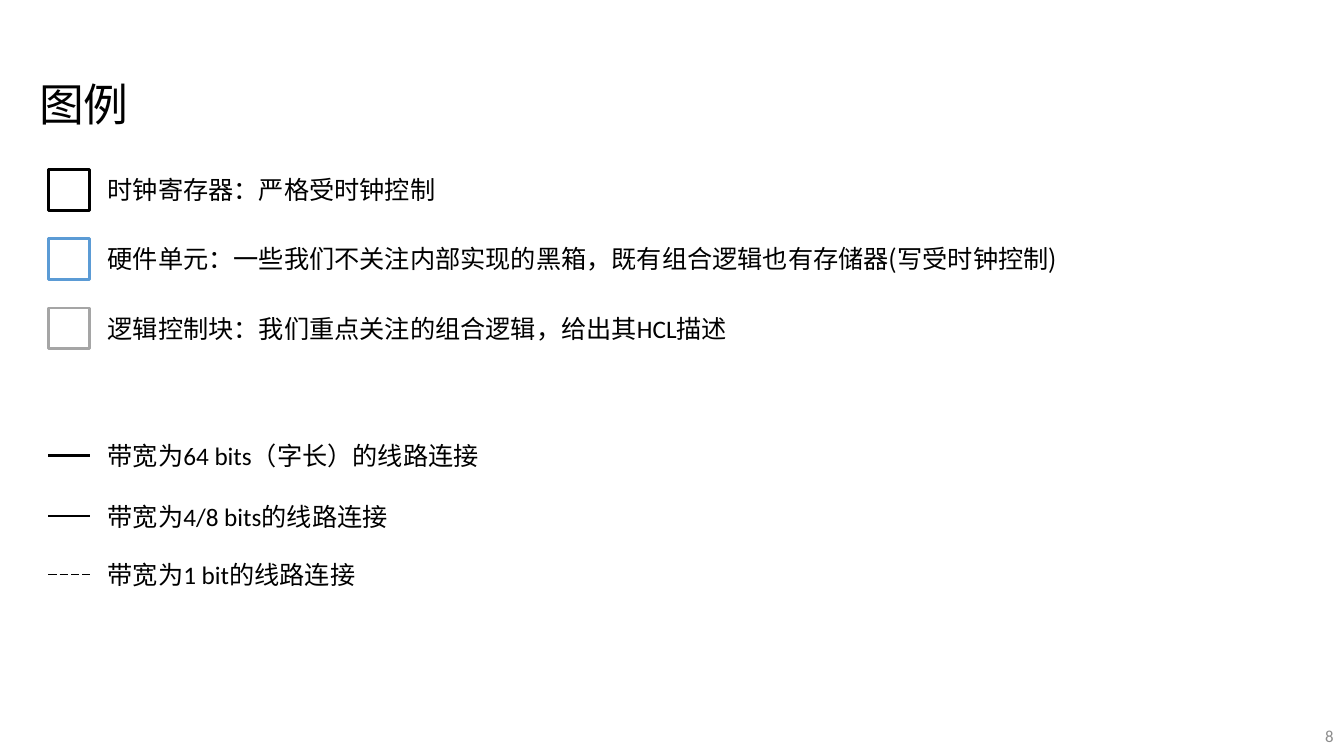
from dataclasses import dataclass
from lxml.etree import SubElement
from pptx import Presentation
from pptx.dml.color import RGBColor
from pptx.enum.dml import MSO_LINE
from pptx.enum.shapes import MSO_CONNECTOR, MSO_SHAPE
from pptx.enum.text import MSO_ANCHOR, MSO_AUTO_SIZE, PP_ALIGN
from pptx.oxml.ns import qn
from pptx.util import Pt


@dataclass(frozen=True)
class Theme:
    ink: str = "000000"
    blue: str = "5B9BD5"
    gray: str = "A5A5A5"
    faint: str = "8C8C8C"
    title: int = 32
    body: int = 18
    small: int = 12
    latin: str = "Calibri"
    han: str = "Noto Sans CJK SC"


class Legend:
    """Draws the elements of a legend on one slide."""

    def __init__(self, slide, theme):
        self.slide = slide
        self.theme = theme

    def text(self, words, left, top, width, height, size, font=None, color=None):
        box = self.slide.shapes.add_textbox(Pt(left), Pt(top), Pt(width), Pt(height))
        frame = box.text_frame
        frame.word_wrap = True
        para = frame.paragraphs[0]
        para.text = words
        para.font.size = Pt(size)
        para.font.name = font or self.theme.latin
        para.font.color.rgb = RGBColor.from_string(color or self.theme.ink)
        return box

    def label(self, words, top, width, font=None):
        box = self.text(words, 69.84, top, width, 28.8, self.theme.body, font)
        box.text_frame.auto_size = MSO_AUTO_SIZE.SHAPE_TO_FIT_TEXT

    def number(self, words):
        box = self.text(words, 743.76, 511.2, 216, 28.8, self.theme.small,
                        color=self.theme.faint)
        box.text_frame.vertical_anchor = MSO_ANCHOR.MIDDLE
        box.text_frame.paragraphs[0].alignment = PP_ALIGN.RIGHT

    def square(self, top, color):
        box = self.slide.shapes.add_shape(
            MSO_SHAPE.RECTANGLE, Pt(34.56), Pt(top), Pt(29.2), Pt(29.2))
        box.shadow.inherit = False
        box.fill.background()
        box.line.color.rgb = RGBColor.from_string(color)
        box.line.width = Pt(2)

    def wire(self, mid, weight, dash=None):
        line = self.slide.shapes.add_connector(
            MSO_CONNECTOR.STRAIGHT, Pt(34.56), Pt(mid), Pt(64), Pt(mid))
        line.line.color.rgb = RGBColor.from_string(self.theme.ink)
        line.line.width = Pt(weight)
        if dash:
            line.line.dash_style = dash
        SubElement(line._element.spPr, qn("a:effectLst"))


def main():
    deck = Presentation()
    deck.slide_width, deck.slide_height = Pt(960), Pt(540)
    theme = Theme()
    page = Legend(deck.slides.add_slide(deck.slide_layouts[6]), theme)
    page.number("8")
    page.text("图例", 20.88, 51.12, 437, 46.08, theme.title)

    blocks = [
        ("时钟寄存器：严格受时钟控制", 250.56, theme.ink, theme.han),
        ("硬件单元：一些我们不关注内部实现的黑箱，既有组合逻辑也有存储器(写受时钟控制)",
         704.88, theme.blue, theme.han),
        ("逻辑控制块：我们重点关注的组合逻辑，给出其HCL描述", 461.52, theme.gray, theme.latin),
    ]
    for row, (words, width, color, font) in enumerate(blocks):
        top = 120.96 + row * 49.5
        page.square(top, color)
        page.label(words, top, width, font)

    wires = [
        ("带宽为64 bits（字长）的线路连接", 311.04, 282.24, 2.5, None),
        ("带宽为4/8 bits的线路连接", 354.24, 216.72, 1.5, None),
        ("带宽为1 bit的线路连接", 396, 192.96, 0.75, MSO_LINE.LONG_DASH),
    ]
    for words, top, width, weight, dash in wires:
        page.wire(top + 14.4, weight, dash)
        page.label(words, top, width)

    deck.save("out.pptx")


if __name__ == "__main__":
    main()
